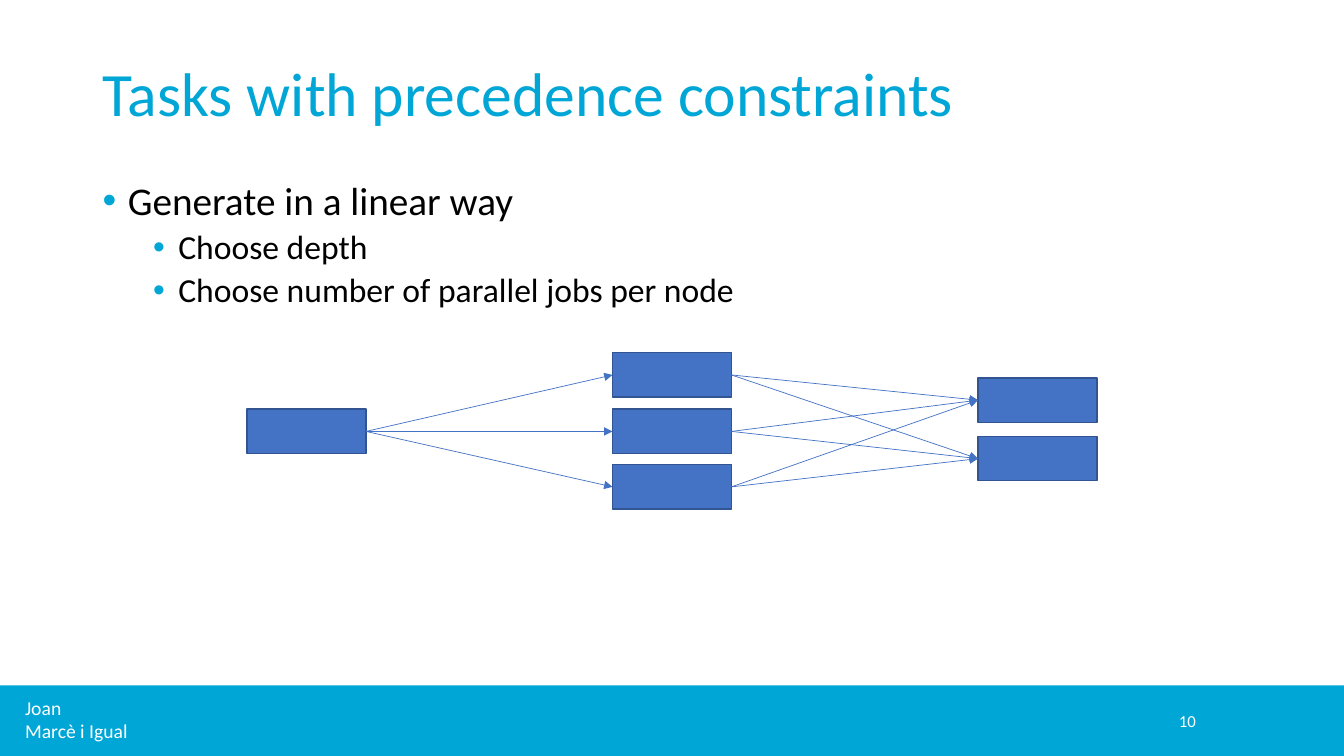
from pptx import Presentation
from pptx.dml.color import RGBColor
from pptx.enum.shapes import MSO_CONNECTOR, MSO_SHAPE
from pptx.enum.text import MSO_ANCHOR, PP_ALIGN
from pptx.oxml.ns import qn
from pptx.util import Inches, Pt
from lxml import etree

RECT = MSO_SHAPE.RECTANGLE
LINE = MSO_CONNECTOR.STRAIGHT
TOP, MID = MSO_ANCHOR.TOP, MSO_ANCHOR.MIDDLE
LEFT, RIGHT = PP_ALIGN.LEFT, PP_ALIGN.RIGHT
CYAN = RGBColor(0x00, 0xA6, 0xD6)
BLUE = RGBColor(0x44, 0x72, 0xC4)
EDGE = RGBColor(0x32, 0x54, 0x91)
WHITE = RGBColor(0xFF, 0xFF, 0xFF)
BLACK = RGBColor(0x00, 0x00, 0x00)
FONT = "Calibri"

TITLE = "Tasks with precedence constraints"
POINTS = [
    (0, "Generate in a linear way"),
    (1, "Choose depth"),
    (1, "Choose number of parallel jobs per node"),
]
LEVELS = [
    {"size": 28, "before": 10, "indent": 0.25},
    {"size": 24, "before": 5, "indent": 0.75},
]
AUTHOR = ["Joan", "Marcè i Igual"]
PAGE = "10"
LAYERS = [[4.06], [3.5, 4.06, 4.61], [3.75, 4.33]]
START, STEP = 2.45, 3.625
NODE_W, NODE_H = 1.18, 0.44

deck = Presentation()
deck.slide_width, deck.slide_height = Inches(13.33), Inches(7.5)
slide = deck.slides.add_slide(deck.slide_layouts[6])
shapes = slide.shapes


def add_frame(left, top, width, height, anchor=TOP, wrap=True):
    box = shapes.add_textbox(*map(Inches, (left, top, width, height)))
    frame = box.text_frame
    frame.word_wrap = wrap
    frame.vertical_anchor = anchor
    return frame


def add_text(frame, text, size=14, color=WHITE, align=LEFT,
             spacing=None, before=0, indent=None, level=0):
    para = frame.paragraphs[0]
    if para.runs:
        para = frame.add_paragraph()
    para.alignment = align
    para.level = level
    para.space_before = Pt(before)
    if spacing:
        para.line_spacing = spacing
    if indent is not None:
        props = para._p.get_or_add_pPr()
        props.set("marL", str(Inches(indent)))
        props.set("indent", str(Inches(-0.25)))
        tint = etree.SubElement(props, qn("a:buClr"))
        etree.SubElement(tint, qn("a:srgbClr"), val=str(CYAN))
        etree.SubElement(props, qn("a:buFont"), typeface="Arial")
        etree.SubElement(props, qn("a:buChar"), char="•")
    run = para.add_run()
    run.text = text
    run.font.name = FONT
    run.font.size = Pt(size)
    run.font.color.rgb = color


def add_rect(left, top, width, height, fill, edge=None):
    rect = shapes.add_shape(RECT, *map(Inches, (left, top, width, height)))
    rect.shadow.inherit = False
    rect.fill.solid()
    rect.fill.fore_color.rgb = fill
    if edge is None:
        rect.line.fill.background()
    else:
        rect.line.color.rgb = edge
        rect.line.width = Pt(1)
    return rect


def add_arrow(source, target):
    arrow = shapes.add_connector(LINE, 0, 0, 0, 0)
    arrow.begin_connect(source, 3)
    arrow.end_connect(target, 1)
    arrow.line.color.rgb = BLUE
    arrow.line.width = Pt(0.5)
    etree.SubElement(arrow.line._get_or_add_ln(), qn("a:tailEnd"), type="triangle")
    etree.SubElement(arrow._element.spPr, qn("a:effectLst"))


add_rect(0, 6.8, 13.33, 0.7, CYAN)
author = add_frame(0.15, 6.85, 1.23, 0.57, wrap=False)
for name in AUTHOR:
    add_text(author, name)

body = add_frame(0.92, 1.75, 11.5, 4.9)
for level, text in POINTS:
    add_text(body, text, color=BLACK, spacing=0.9, level=level, **LEVELS[level])

title = add_frame(0.92, 0.4, 11.5, 1.11, anchor=MID)
add_text(title, TITLE, size=44, color=CYAN, spacing=0.9)
page = add_frame(9.42, 6.95, 2.54, 0.4, anchor=MID)
add_text(page, PAGE, size=12, align=RIGHT)

nodes = [
    [add_rect(START + col * STEP, top, NODE_W, NODE_H, BLUE, EDGE) for top in tops]
    for col, tops in enumerate(LAYERS)
]
for sources, targets in zip(nodes, nodes[1:]):
    for target in targets:
        for source in sources:
            add_arrow(source, target)

deck.save("out.pptx")
